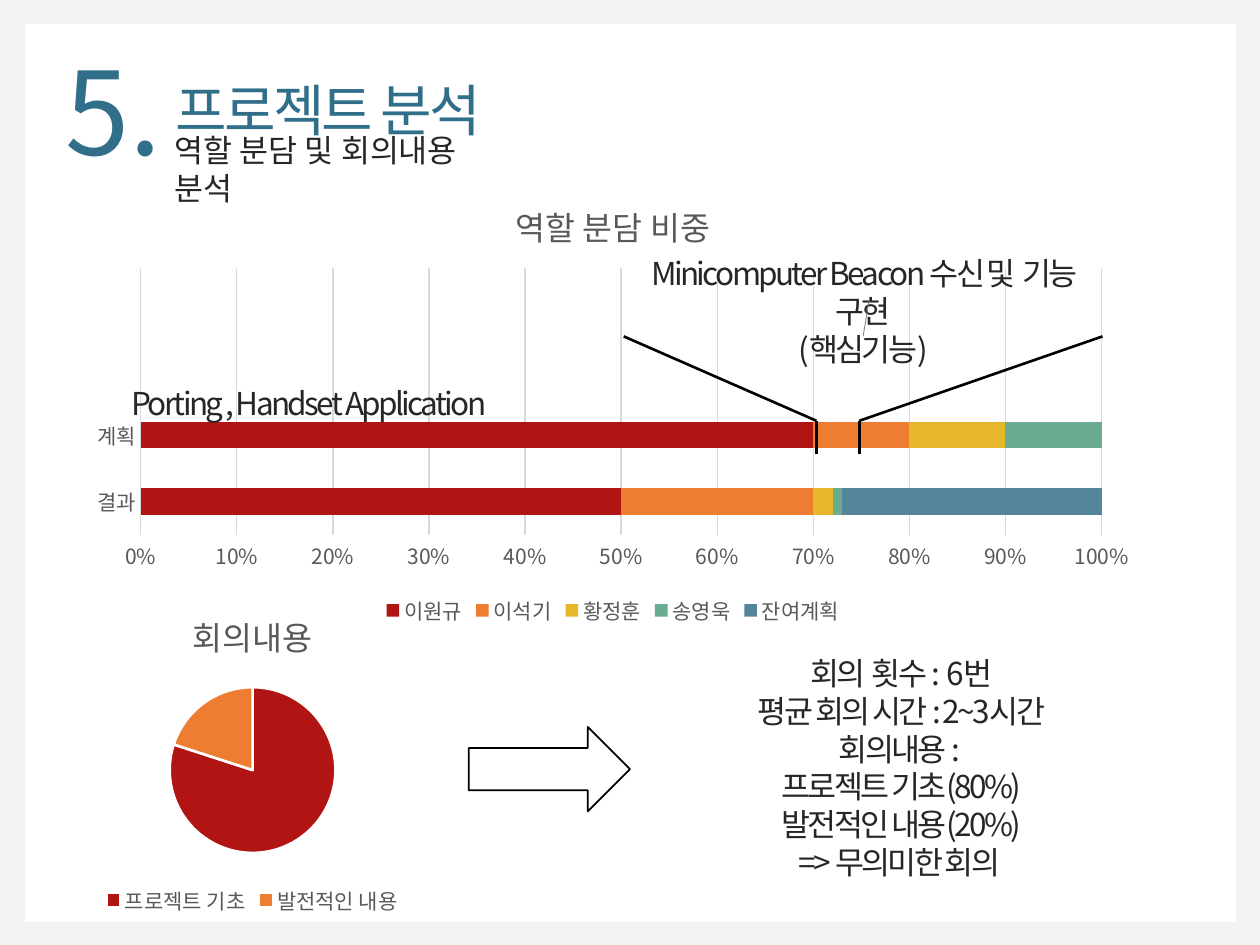
from lxml import etree
from pptx import Presentation
from pptx.chart.data import CategoryChartData
from pptx.dml.color import RGBColor
from pptx.enum.chart import XL_CHART_TYPE, XL_LEGEND_POSITION, XL_TICK_MARK
from pptx.enum.shapes import MSO_CONNECTOR, MSO_SHAPE
from pptx.enum.text import MSO_ANCHOR, MSO_AUTO_SIZE, PP_ALIGN
from pptx.oxml.ns import qn
from pptx.util import Inches, Pt

BAR, PIE = XL_CHART_TYPE.BAR_STACKED_100, XL_CHART_TYPE.PIE
BOTTOM = XL_LEGEND_POSITION.BOTTOM
NO_TICK = XL_TICK_MARK.NONE
STRAIGHT = MSO_CONNECTOR.STRAIGHT
RECTANGLE, ARROW = MSO_SHAPE.RECTANGLE, MSO_SHAPE.RIGHT_ARROW
TOP, FIXED = MSO_ANCHOR.TOP, MSO_AUTO_SIZE.NONE
LEFT, CENTER = PP_ALIGN.LEFT, PP_ALIGN.CENTER

FONT = "Noto Sans CJK KR"
COLORS = {"back": "F2F2F2", "panel": "FFFFFF", "accent": "306E89", "text": "262626",
          "label": "595959", "grid": "D9D9D9", "line": "000000", "leader": "808080"}
SERIES_COLORS = ["B01513", "ED7D31", "E6B729", "6AAC90", "55859B"]

TITLE = "프로젝트 분석"
NUMBER = "5."
SUBTITLE = "역할 분담 및 회의내용 분석"
PORTING = "Porting , Handset Application "
CALLOUT = ["Minicomputer Beacon 수신 및  기능 구현", "(핵심기능)"]
MEETINGS = ["회의  횟수 :  6번", "평균 회의 시간 : 2~3시간", "회의내용 : ",
            "프로젝트 기초(80%)", "발전적인 내용(20%)", "=> 무의미한 회의 "]

ROLES_TITLE = "역할 분담 비중"
ROLE_STAGES = ["결과", "계획", "", ""]
ROLES = [("이원규", (50, 70, None, None)), ("이석기", (20, 10, None, None)),
         ("황정훈", (2, 10, None, None)), ("송영욱", (1, 10, None, None)),
         ("잔여계획", (27, 0, None, None))]
TOPICS_TITLE = "회의내용"
TOPICS = {"프로젝트 기초": 80, "발전적인 내용": 20}

BRACKET_TOP, BRACKET_BEND, BRACKET_END = 2.67, 3.34, 3.6
BRACKETS = [(4.95, 6.48), (8.75, 6.82)]


def color(name):
    return RGBColor.from_string(COLORS.get(name, name))


def inches(area):
    return [Inches(length) for length in area]


def style_font(font, size, name):
    font.size, font.name, font.bold = Pt(size), FONT, False
    font.color.rgb = color(name)


def place(shape, area):
    shape.left, shape.top, shape.width, shape.height = inches(area)


def write(shape, text, size=18, name="text", align=LEFT, spacing=0):
    frame = shape.text_frame
    frame.word_wrap, frame.auto_size, frame.vertical_anchor = True, FIXED, TOP
    lines = [text] if isinstance(text, str) else text
    for index, line in enumerate(lines):
        para = frame.paragraphs[0] if index == 0 else frame.add_paragraph()
        para.alignment, para.space_before = align, Pt(0)
        span = para.add_run()
        span.text = line
        style_font(span.font, size, name)
        properties = span.font._element
        properties.set("spc", str(int(spacing * 100)))
        etree.SubElement(properties, qn("a:ea")).set("typeface", FONT)


def add_text(page, area, text, **style):
    box = page.shapes.add_textbox(*inches(area))
    write(box, text, **style)
    return box


def add_shape(page, kind, area, fill, line=None):
    shape = page.shapes.add_shape(kind, *inches(area))
    shape.shadow.inherit = False
    shape.fill.solid()
    shape.fill.fore_color.rgb = color(fill)
    if line:
        shape.line.color.rgb = color(line)
        shape.line.width = Pt(1)
    else:
        shape.line.fill.background()


def add_line(page, start, end, name="line", width=1.5):
    line = page.shapes.add_connector(STRAIGHT, *inches(start + end))
    line.line.color.rgb = color(name)
    line.line.width = Pt(width)
    etree.SubElement(line._element.spPr, qn("a:effectLst"))


def add_chart(page, kind, area, title, categories, series):
    data = CategoryChartData()
    data.categories = categories
    for name, values in series:
        data.add_series(name, values)
    chart = page.shapes.add_chart(kind, *inches(area), data).chart
    style_font(chart.font, 12, "label")
    chart.has_title = True
    chart.chart_title.include_in_layout = False
    para = chart.chart_title.text_frame.paragraphs[0]
    para.text = title
    style_font(para.runs[0].font, 18.6, "label")
    chart.has_legend = True
    chart.legend.position = BOTTOM
    chart.legend.include_in_layout = False
    style_font(chart.legend.font, 12, "label")
    return chart


def add_roles_chart(page):
    chart = add_chart(page, BAR, (0.6, 1.4, 8.53, 3.61), ROLES_TITLE, ROLE_STAGES, ROLES)
    plot = chart.plots[0]
    plot.gap_width, plot.overlap = 150, 100
    for series, fill in zip(plot.series, SERIES_COLORS):
        series.format.fill.solid()
        series.format.fill.fore_color.rgb = color(fill)
    for axis in (chart.category_axis, chart.value_axis):
        axis.major_tick_mark = axis.minor_tick_mark = NO_TICK
        style_font(axis.tick_labels.font, 12, "label")
    chart.category_axis.format.line.color.rgb = color("grid")
    values = chart.value_axis
    values.format.line.fill.background()
    values.tick_labels.number_format = "0%"
    values.tick_labels.number_format_is_linked = False
    values.major_gridlines.format.line.color.rgb = color("grid")
    values.major_gridlines.format.line.width = Pt(0.75)


def add_topics_chart(page):
    chart = add_chart(page, PIE, (0.28, 4.68, 3.45, 2.63), TOPICS_TITLE,
                      list(TOPICS), [(TOPICS_TITLE, list(TOPICS.values()))])
    chart.plots[0].vary_by_categories = True
    for index, fill in enumerate(SERIES_COLORS[:len(TOPICS)]):
        piece = chart.plots[0].series[0].points[index].format
        piece.fill.solid()
        piece.fill.fore_color.rgb = color(fill)
        piece.line.color.rgb = color("panel")
        piece.line.width = Pt(1.5)


def main():
    deck = Presentation()
    deck.slide_width, deck.slide_height = Inches(10), Inches(7.5)
    page = deck.slides.add_slide(deck.slide_layouts[1])
    page.background.fill.solid()
    page.background.fill.fore_color.rgb = color("back")
    title, body = page.placeholders

    add_shape(page, RECTANGLE, (0.2, 0.19, 9.61, 7.13), "panel")
    tree = page.shapes._spTree
    tree.insert(2, page.shapes[-1]._element)

    place(title, (1.29, 0.55, 2.91, 0.64))
    write(title, TITLE, size=32, name="accent", spacing=-1.5)
    add_text(page, (0.39, 0.27, 1.02, 1.21), NUMBER, size=66, name="accent", align=CENTER)
    add_text(page, (1.29, 0.99, 2.89, 0.4), SUBTITLE)

    add_roles_chart(page)
    add_text(page, (0.68, 3, 3.58, 0.4), PORTING, align=CENTER, spacing=-1.5)
    add_text(page, (4.95, 1.97, 3.8, 0.71), CALLOUT, align=CENTER, spacing=-1.5)
    add_line(page, (6.9, 2.37), (6.85, BRACKET_TOP), "leader", 0.5)
    for outer, inner in BRACKETS:
        add_line(page, (outer, BRACKET_TOP), (inner, BRACKET_BEND))
        add_line(page, (inner, BRACKET_BEND), (inner, BRACKET_END))

    add_topics_chart(page)
    add_shape(page, ARROW, (3.72, 5.77, 1.28, 0.67), "panel", "line")
    place(body, (5.43, 5.14, 3.45, 1.92))
    write(body, MEETINGS, align=CENTER, spacing=-1.5)
    for para in body.text_frame.paragraphs:
        properties = para._p.get_or_add_pPr()
        properties.set("marL", "0")
        properties.set("indent", "0")
        etree.SubElement(properties, qn("a:buNone"))

    deck.save("out.pptx")


if __name__ == "__main__":
    main()
